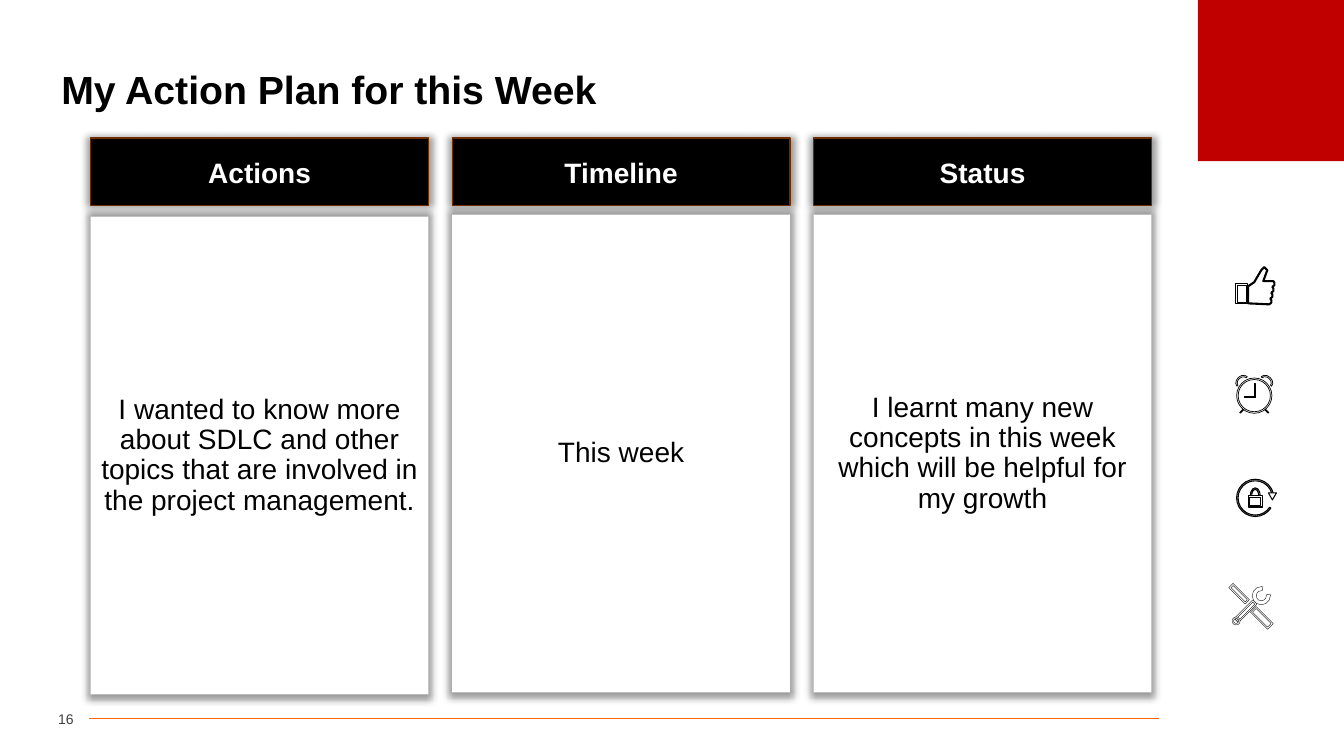
from dataclasses import dataclass

from lxml.etree import SubElement
from pptx import Presentation
from pptx.dml.color import RGBColor
from pptx.enum.shapes import MSO_CONNECTOR as CONN, MSO_SHAPE as SHAPE
from pptx.enum.text import MSO_ANCHOR as ANCHOR, PP_ALIGN as ALIGN
from pptx.oxml.ns import qn
from pptx.util import Inches, Pt

BLACK = RGBColor(0x00, 0x00, 0x00)
WHITE = RGBColor(0xFF, 0xFF, 0xFF)
RED = RGBColor(0xC0, 0x00, 0x00)
ORANGE = RGBColor(0xFF, 0x66, 0x00)
BROWN = RGBColor(0x70, 0x2D, 0x00)
GREY = RGBColor(0x40, 0x40, 0x40)

CELL = Inches(0.01)
COLS, ROWS = 1333, 750
DISC = 90
MID = DISC / 2
RIM = 1.5
SIDES = (-1, 1)
DEGREE = 0.6

COLUMNS = [
    ("Actions", "I wanted to know more about SDLC and other topics that are "
                "involved in the project management.", 215),
    ("Timeline", "This week", 213),
    ("Status", "I learnt many new concepts in this week which will be "
               "helpful for my growth", 213),
]


@dataclass
class Part:
    """A piece of an icon, centred at (x, y) in the cells of its disc."""

    kind: SHAPE
    x: float
    y: float
    width: float
    height: float
    turn: float = 0
    sweep: tuple = ()
    rim: float = RIM


def place(*cells):
    """Turn grid columns and rows into slide lengths."""
    return [int(CELL * n) for n in cells]


def paint(sp, fill, line=None, width=1):
    """Set the fill and outline of a shape and remove its shadow."""
    sp.shadow.inherit = False
    sp.fill.solid()
    sp.fill.fore_color.rgb = fill
    if line is None:
        sp.line.fill.background()
    else:
        sp.line.color.rgb = line
        sp.line.width = Pt(width)


def add_glow_shadow(sp):
    """Put a soft centred shadow, slightly enlarged, around a shape."""
    effects = sp._element.spPr.find(qn("a:effectLst"))
    shadow = SubElement(effects, qn("a:outerShdw"), blurRad=str(Pt(5)),
                        sx="102000", sy="102000", algn="ctr", rotWithShape="0")
    color = SubElement(shadow, qn("a:srgbClr"), val=str(BLACK))
    SubElement(color, qn("a:alpha"), val="40000")


def write(sp, text, size, color, bold=False, frame=None, **para):
    """Write one formatted paragraph into a shape."""
    tf = sp.text_frame
    for name, value in {"word_wrap": True, "vertical_anchor": ANCHOR.MIDDLE,
                        **(frame or {})}.items():
        setattr(tf, name, value)
    p = tf.paragraphs[0]
    for name, value in para.items():
        setattr(p, name, value)
    r = p.add_run()
    r.text = text
    for name, value in {"name": "Arial", "size": Pt(size), "bold": bold}.items():
        setattr(r.font, name, value)
    r.font.color.rgb = color


def add_frame(s):
    """Add the footer rule, corner block, title and page number."""
    rule = s.shapes.add_connector(CONN.STRAIGHT, *place(88, 713, 1150, 713))
    rule.line.color.rgb = ORANGE
    rule.line.width = Pt(0.5)
    SubElement(rule._element.spPr, qn("a:effectLst"))
    corner = s.shapes.add_shape(SHAPE.RECTANGLE, *place(1188, 0, COLS - 1188, 160))
    paint(corner, RED)
    title = s.shapes.add_textbox(*place(51, 52, 1231, 78))
    write(title, "My Action Plan for this Week", 28, BLACK, True, line_spacing=0.9)
    number = s.shapes.add_textbox(*place(33, 699, 40, 29))
    write(number, "16", 10, GREY, frame={"margin_left": 0, "margin_right": 0},
          alignment=ALIGN.RIGHT)


def add_column(s, left, top, width, heading, text, body_top):
    """Add a plan column: a white card under a black heading."""
    card = s.shapes.add_shape(SHAPE.RECTANGLE, *place(left, body_top, width, 474))
    paint(card, WHITE)
    write(card, text, 20, BLACK, alignment=ALIGN.CENTER, line_spacing=0.9,
          space_before=Pt(10))
    head = s.shapes.add_shape(SHAPE.RECTANGLE, *place(left, top, width, 67))
    paint(head, BLACK, BROWN)
    write(head, heading, 20, WHITE, True, alignment=ALIGN.CENTER)
    for sp in (card, head):
        add_glow_shadow(sp)


def add_disc(s, left, top):
    """Add a group holding the white disc behind an icon."""
    group = s.shapes.add_group_shape()
    paint(group.shapes.add_shape(SHAPE.OVAL, *place(left, top, DISC, DISC)), WHITE)
    return group


def add_parts(s, left, top, line_width, parts):
    """Add an icon made of preset shapes on a disc and return its group."""
    group = add_disc(s, left, top)
    for part in parts:
        sp = group.shapes.add_shape(part.kind, *place(
            left + part.x - part.width / 2, top + part.y - part.height / 2,
            part.width, part.height))
        for i, angle in enumerate(part.sweep):
            sp.adjustments[i] = angle * DEGREE
        if part.kind in (SHAPE.FRAME, SHAPE.DONUT, SHAPE.BLOCK_ARC):
            last = len(sp.adjustments) - 1
            sp.adjustments[last] = part.rim / min(part.width, part.height)
        sp.rotation = part.turn
        paint(sp, WHITE, BLACK, line_width)
    return group


def add_thumb(s, left, top):
    """Add a thumbs-up: a cuff, a raised thumb and four stepped fingers."""
    cuff = Part(SHAPE.FRAME, 32.5, 48.5, 12, 20)
    group = add_parts(s, left, top, 0.75, [cuff])
    palm = [(39, 58), (39, 41), (45, 37)]
    thumb = [(52, 25), (55, 22), (58, 25), (54, 36)]
    fingers = []
    for i in range(4):
        edge, knuckle = 65 - i, 36 + 5.75 * i
        fingers += [(edge - 1, knuckle), (edge, knuckle + 1.5),
                    (edge, knuckle + 4), (edge - 2, knuckle + 5.75)]
    outline = [place(left + x, top + y) for x, y in palm + thumb + fingers]
    pen = group.shapes.build_freeform(*outline[0])
    pen.add_line_segments(outline[1:])
    paint(pen.convert_to_shape(), WHITE, BLACK, 1.5)


def add_clock(s, left, top):
    """Add an alarm clock with mirrored bells and feet."""
    bells = [Part(SHAPE.BLOCK_ARC, MID + 12 * side, 31.5, 14, 11, 42 * side, (180, 0))
             for side in SIDES]
    feet = [Part(SHAPE.RECTANGLE, MID + 12 * side, 60.5, 6, 1, 45 * side)
            for side in SIDES]
    face = Part(SHAPE.DONUT, MID, 45.5, 35, 35)
    hour = Part(SHAPE.RECTANGLE, 40.5, 46.5, 11, 1)
    minute = Part(SHAPE.RECTANGLE, 45.5, 40, 1, 14)
    add_parts(s, left, top, 0.5, [*bells, *feet, face, hour, minute])


def add_lock(s, left, top):
    """Add a padlock inside a circling arrow."""
    circle = Part(SHAPE.BLOCK_ARC, 46, MID, 37, 37, sweep=(33, 357))
    tip = Part(SHAPE.FLOWCHART_MERGE, 63, 43.5, 8, 7)
    shackle = Part(SHAPE.BLOCK_ARC, 46, 43, 10, 16, sweep=(180, 0))
    body = Part(SHAPE.FRAME, 46, 48.5, 14, 11)
    add_parts(s, left, top, 0.75, [circle, tip, shackle, body])


def add_tools(s, left, top):
    """Add a screwdriver crossed by a wrench."""
    handle = Part(SHAPE.FRAME, 55.5, 58, 24, 8, 45)
    blade = Part(SHAPE.FRAME, 33, 34, 23, 6, 45)
    shaft = Part(SHAPE.FRAME, 39.5, 51.5, 26, 6, -45)
    ring = Part(SHAPE.DONUT, 30, 61, 8, 8)
    jaw = Part(SHAPE.BLOCK_ARC, 55, 36, 18, 18, sweep=(350, 280), rim=4)
    add_parts(s, left, top, 0.25, [handle, blade, shaft, ring, jaw])


def main():
    """Build the action plan slide and save it."""
    prs = Presentation()
    prs.slide_width, prs.slide_height = place(COLS, ROWS)
    s = prs.slides.add_slide(prs.slide_layouts[6])
    add_frame(s)
    for i, column in enumerate(COLUMNS):
        add_column(s, 90 + 358.5 * i, 137, 335, *column)
    add_thumb(s, 1199, 243)
    add_clock(s, 1199, 347)
    add_lock(s, 1199, 449)
    add_tools(s, 1196, 555)
    prs.save("out.pptx")


if __name__ == "__main__":
    main()
